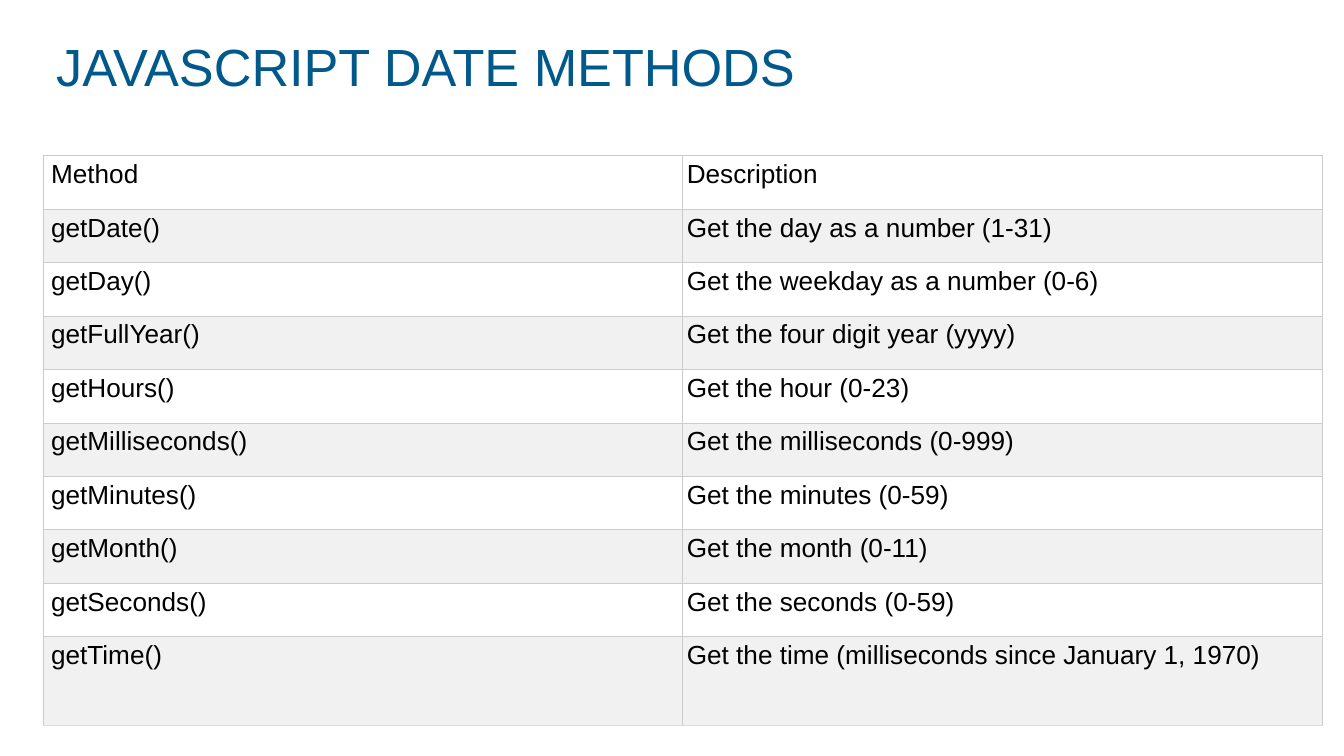
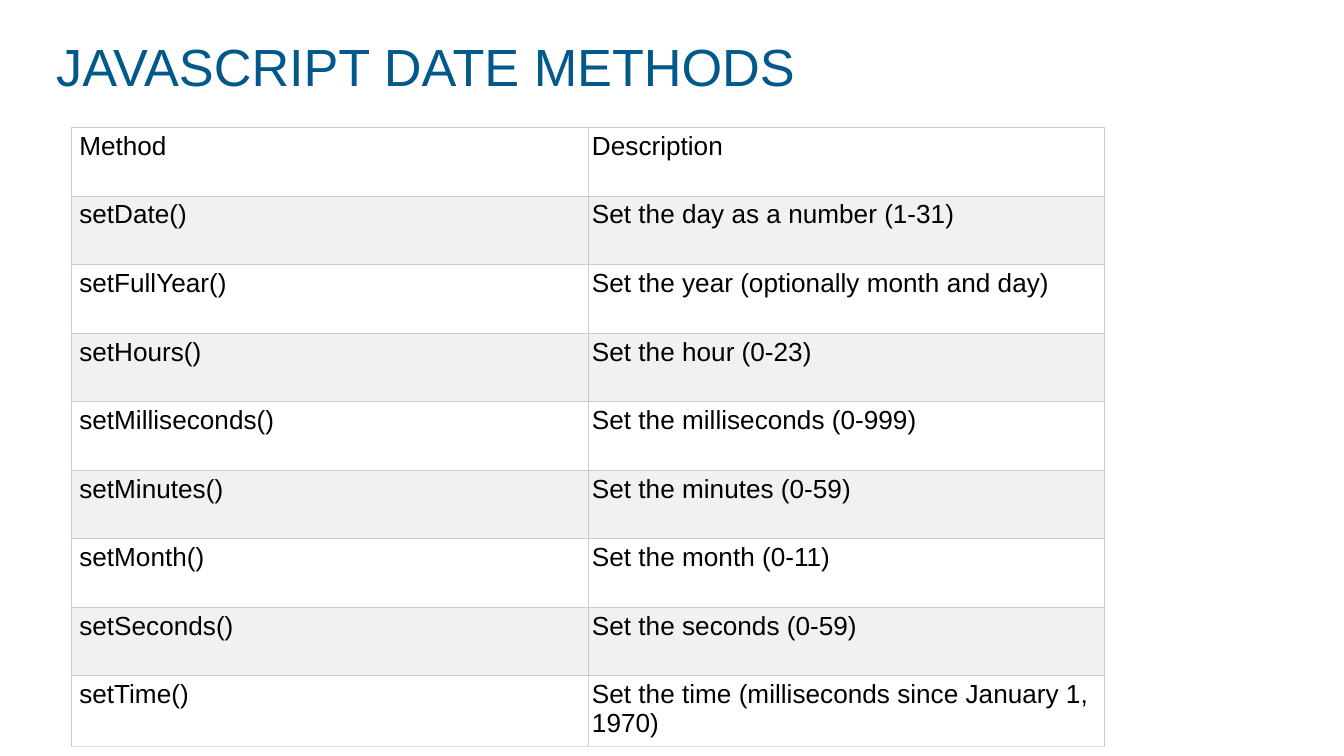
"""Build two slides that list the JavaScript Date getter and setter methods."""
from dataclasses import dataclass

from lxml import etree
from pptx import Presentation
from pptx.dml.color import RGBColor
from pptx.enum import text
from pptx.oxml import ns
from pptx.util import Inches, Pt


@dataclass(frozen=True)
class Theme:
    font: str = "Arial"
    title_size: int = 28
    cell_size: int = 14
    title: str = "00598A"
    ink: str = "000000"
    bands: tuple = ("FFFFFF", "F1F1F1")
    border: str = "CCCCCC"
    last_border: str = "DDDDDD"
    border_width: float = 0.6


theme = Theme()
title_text = "JAVASCRIPT DATE METHODS"
header = ("Method", "Description")

getters = [
    ("getDate()", "Get the day as a number (1-31)"),
    ("getDay()", "Get the weekday as a number (0-6)"),
    ("getFullYear()", "Get the four digit year (yyyy)"),
    ("getHours()", "Get the hour (0-23)"),
    ("getMilliseconds()", "Get the milliseconds (0-999)"),
    ("getMinutes()", "Get the minutes (0-59)"),
    ("getMonth()", "Get the month (0-11)"),
    ("getSeconds()", "Get the seconds (0-59)"),
    ("getTime()", "Get the time (milliseconds since January 1, 1970)"),
]
setters = [
    ("setDate()", "Set the day as a number (1-31)"),
    ("setFullYear()", "Set the year (optionally month and day)"),
    ("setHours()", "Set the hour (0-23)"),
    ("setMilliseconds()", "Set the milliseconds (0-999)"),
    ("setMinutes()", "Set the minutes (0-59)"),
    ("setMonth()", "Set the month (0-11)"),
    ("setSeconds()", "Set the seconds (0-59)"),
    ("setTime()", "Set the time (milliseconds since January 1, 1970)"),
]
method_tables = [
    (getters, 0.32, 1.16, 9.52, 4.24, 0.66),
    (setters, 0.53, 0.95, 7.69, 4.59, 0.51),
]


def style_paragraph(paragraph, size, color):
    paragraph.font.name = theme.font
    paragraph.font.size = Pt(size)
    paragraph.font.color.rgb = RGBColor.from_string(color)


def add_border(cell, side, color):
    properties = cell._tc.get_or_add_tcPr()
    line = etree.SubElement(properties, ns.qn(f"a:ln{side}"), w=str(Pt(theme.border_width)))
    fill = etree.SubElement(line, ns.qn("a:solidFill"))
    etree.SubElement(fill, ns.qn("a:srgbClr"), val=color)


presentation = Presentation()
presentation.slide_width = Inches(10)
presentation.slide_height = Inches(10 * 9 / 16)

for methods, left, top, width, height, last_height in method_tables:
    slide = presentation.slides.add_slide(presentation.slide_layouts[6])

    title = slide.shapes.add_textbox(Inches(0.32), Inches(0.2), Inches(9.38), Inches(0.64))
    title.text_frame.word_wrap = True
    title.text_frame.vertical_anchor = text.MSO_ANCHOR.MIDDLE
    paragraph = title.text_frame.paragraphs[0]
    paragraph.text = title_text
    paragraph.line_spacing = 0.9
    style_paragraph(paragraph, theme.title_size, theme.title)

    rows = [header, *methods]
    last = len(rows) - 1
    row_height = (height - last_height) / last
    table = slide.shapes.add_table(
        len(rows), len(header), Inches(left), Inches(top), Inches(width), Inches(height)
    ).table
    table.first_row = False
    table.horz_banding = False

    for row_index, values in enumerate(rows):
        is_last = row_index == last
        table.rows[row_index].height = Inches(last_height if is_last else row_height)
        for column_index, value in enumerate(values):
            cell = table.cell(row_index, column_index)
            cell.margin_left = Inches(0.03 if column_index else 0.06)
            cell.margin_right = cell.margin_top = cell.margin_bottom = Inches(0.03)
            for side in "LRTB":
                bottom_edge = is_last and side == "B"
                add_border(cell, side, theme.last_border if bottom_edge else theme.border)
            cell.fill.solid()
            cell.fill.fore_color.rgb = RGBColor.from_string(theme.bands[row_index % 2])
            cell.text = value
            style_paragraph(cell.text_frame.paragraphs[0], theme.cell_size, theme.ink)

presentation.save("out.pptx")
